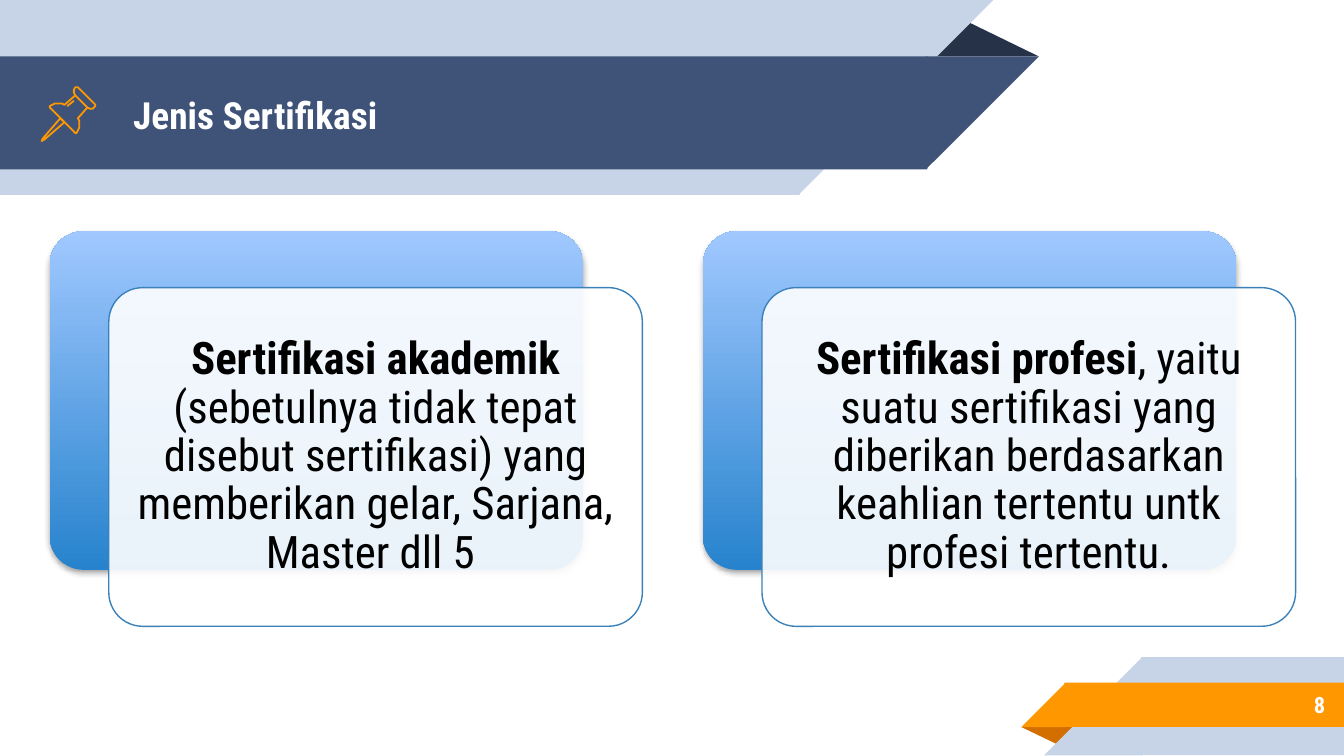
from lxml import etree
from pptx import Presentation
from pptx import util as u
from pptx.dml.color import RGBColor
from pptx.enum import shapes, text
from pptx.oxml import parse_xml
from pptx.oxml.ns import nsdecls, qn

FONT = "Roboto Condensed"
COLORS = {
    "pale": "C7D3E6", "navy": "3F5378", "dark": "263248",
    "orange": "FF9800", "rust": "D26F00", "white": "FFFFFF", "black": "000000",
    "deep_blue": "2783CD", "light_blue": "A0C8FF", "outline": "3A81BA",
}
TITLE = "Jenis Sertifikasi"
PAGE_NUMBER = "8"
CARDS = [
    ("Sertifikasi akademik",
     " (sebetulnya tidak tepat disebut sertifikasi) yang memberikan gelar, "
     "Sarjana, Master dll 5 "),
    ("Sertifikasi profesi",
     ", yaitu suatu sertifikasi yang diberikan berdasarkan keahlian tertentu "
     "untk profesi tertentu."),
]

# Ribbons: left, top, width of the straight part, height, colour
TOP_RIBBONS = [(0, 0, 5.94, 1.45, "pale"), (0, 0.42, 6.89, 0.84, "navy")]
BOTTOM_RIBBONS = [(8.5, 4.89, 1.5, 0.73, "pale"), (7.93, 5.08, 2.08, 0.33, "orange")]
OVERLAP = 0.01  # hides the seam between a bar and its slanted end

# Pushpin outlines in hundredths of an inch: closed flag, points
PIN = [
    (True, [(45, 88), (32, 103), (31, 105), (33, 104), (48, 91)]),
    (True, [(56, 71), (65, 80), (67, 81), (69, 81), (71, 79), (71, 78),
            (58, 65), (56, 65), (55, 67), (55, 69)]),
    (False, [(56, 71), (48, 78), (46, 77), (44, 77), (41, 77), (39, 78),
             (37, 79), (37, 80), (38, 81), (55, 98), (56, 99), (57, 99),
             (58, 97), (59, 95), (59, 92), (59, 90), (58, 88), (65, 80)]),
    (False, [(50, 79), (55, 75)]),
]

CARD_LEFT, CARD_TOP, CARD_WIDTH, CARD_HEIGHT = 0.37, 1.72, 3.97, 2.52
CARD_PITCH = 4.86
FRONT_SHIFT = (0.44, 0.42)
TEXT_INSET = 0.07


def color(name):
    return RGBColor.from_string(COLORS[name])


def add_shape(kind, left, top, width, height, fill=None):
    shape = slide.shapes.add_shape(kind, *map(u.Inches, (left, top, width, height)))
    shape.shadow.inherit = False
    shape.line.fill.background()
    if fill:
        shape.fill.solid()
        shape.fill.fore_color.rgb = color(fill)
    return shape


def add_fold(left, top, width, height, fill, rotation=0):
    fold = add_shape(shapes.MSO_SHAPE.ISOSCELES_TRIANGLE, left, top, width, height, fill)
    fold.adjustments[0] = 0.324
    fold.rotation = rotation


def add_ribbon(left, top, width, height, fill, from_left):
    """A bar with a 45-degree end, on the right if it starts at the left edge."""
    bar_left = left if from_left else left - OVERLAP
    add_shape(shapes.MSO_SHAPE.RECTANGLE, bar_left, top, width + OVERLAP, height, fill)
    end_left = left + width if from_left else left - height
    end = add_shape(shapes.MSO_SHAPE.RIGHT_TRIANGLE, end_left, top, height, height, fill)
    end.element.spPr.get_or_add_xfrm().set("flipH", "1")
    end.rotation = 180 if from_left else 0


def set_frame(shape):
    frame = shape.text_frame
    frame.word_wrap = True
    frame.auto_size = text.MSO_AUTO_SIZE.NONE
    frame.vertical_anchor = text.MSO_ANCHOR.MIDDLE
    frame.margin_left = frame.margin_right = u.Inches(0.1)
    frame.margin_top = frame.margin_bottom = u.Inches(0.1)
    return frame.paragraphs[0]


def set_font(para, size, fill, align, bold=None):
    para.alignment = align
    para.font.name = FONT
    para.font.size = u.Pt(size)
    para.font.bold = bold
    para.font.color.rgb = color(fill)


def add_text_box(left, top, width, height):
    return set_frame(slide.shapes.add_textbox(*map(u.Inches, (left, top, width, height))))


def add_pin():
    for closed, points in PIN:
        builder = slide.shapes.build_freeform(*points[0], scale=u.Inches(0.01))
        builder.add_line_segments(points[1:], close=closed)
        outline = builder.convert_to_shape()
        outline.shadow.inherit = False
        outline.fill.background()
        outline.line.color.rgb = color("orange")
        outline.line.width = u.Pt(0.96)


def add_card_shadow(shape):
    effects = shape.element.spPr.find(qn("a:effectLst"))
    effects.append(parse_xml(
        f'<a:outerShdw {nsdecls("a")} blurRad="{u.Pt(3.1)}" dist="{u.Pt(1.8)}" '
        f'dir="5400000" rotWithShape="0"><a:srgbClr val="{COLORS["black"]}">'
        '<a:alpha val="35000"/></a:srgbClr></a:outerShdw>'))


def add_card(left, heading, body):
    back = add_shape(shapes.MSO_SHAPE.ROUNDED_RECTANGLE,
                     left, CARD_TOP, CARD_WIDTH, CARD_HEIGHT)
    back.fill.gradient()
    back.fill.gradient_angle = 90
    for stop, name in zip(back.fill.gradient_stops, ("deep_blue", "light_blue")):
        stop.color.rgb = color(name)
    add_card_shadow(back)

    front_left, front_top = left + FRONT_SHIFT[0], CARD_TOP + FRONT_SHIFT[1]
    front = add_shape(shapes.MSO_SHAPE.ROUNDED_RECTANGLE,
                      front_left, front_top, CARD_WIDTH, CARD_HEIGHT, "white")
    front.line.color.rgb = color("outline")
    front.line.width = u.Pt(0.75)
    white = front.element.spPr.find(qn("a:solidFill")).find(qn("a:srgbClr"))
    etree.SubElement(white, qn("a:alpha")).set("val", "90000")
    for shape in (back, front):
        shape.adjustments[0] = 0.1

    para = add_text_box(front_left + TEXT_INSET, front_top + TEXT_INSET,
                        CARD_WIDTH - 2 * TEXT_INSET, CARD_HEIGHT - 2 * TEXT_INSET)
    para.line_spacing = 0.9
    set_font(para, 24, "black", text.PP_ALIGN.CENTER)
    for words, bold in ((heading, True), (body, False)):
        span = para.add_run()
        span.text = words
        span.font.bold = bold


deck = Presentation()
deck.slide_width = u.Inches(10)
deck.slide_height = deck.slide_width * 9 // 16
slide = deck.slides.add_slide(deck.slide_layouts[5])

add_fold(6.88, 0.14, 0.85, 0.28, "dark")
for ribbon in TOP_RIBBONS:
    add_ribbon(*ribbon, from_left=True)
add_fold(7.6, 5.41, 0.43, 0.14, "rust", rotation=180)
for ribbon in BOTTOM_RIBBONS:
    add_ribbon(*ribbon, from_left=False)

title = slide.shapes.title
title.element.getparent().append(title.element)  # in front of the ribbons
title.left, title.top, title.width, title.height = map(u.Inches, (0.89, 0.43, 6.01, 0.84))
title_para = set_frame(title)
title_para.text = TITLE
set_font(title_para, 20, "white", text.PP_ALIGN.LEFT, bold=True)

number_para = add_text_box(8.33, 5.07, 1.63, 0.35)
number_para.text = PAGE_NUMBER
set_font(number_para, 12, "white", text.PP_ALIGN.RIGHT, bold=True)

add_pin()
for index, (heading, body) in enumerate(CARDS):
    add_card(CARD_LEFT + index * CARD_PITCH, heading, body)

deck.save("out.pptx")
